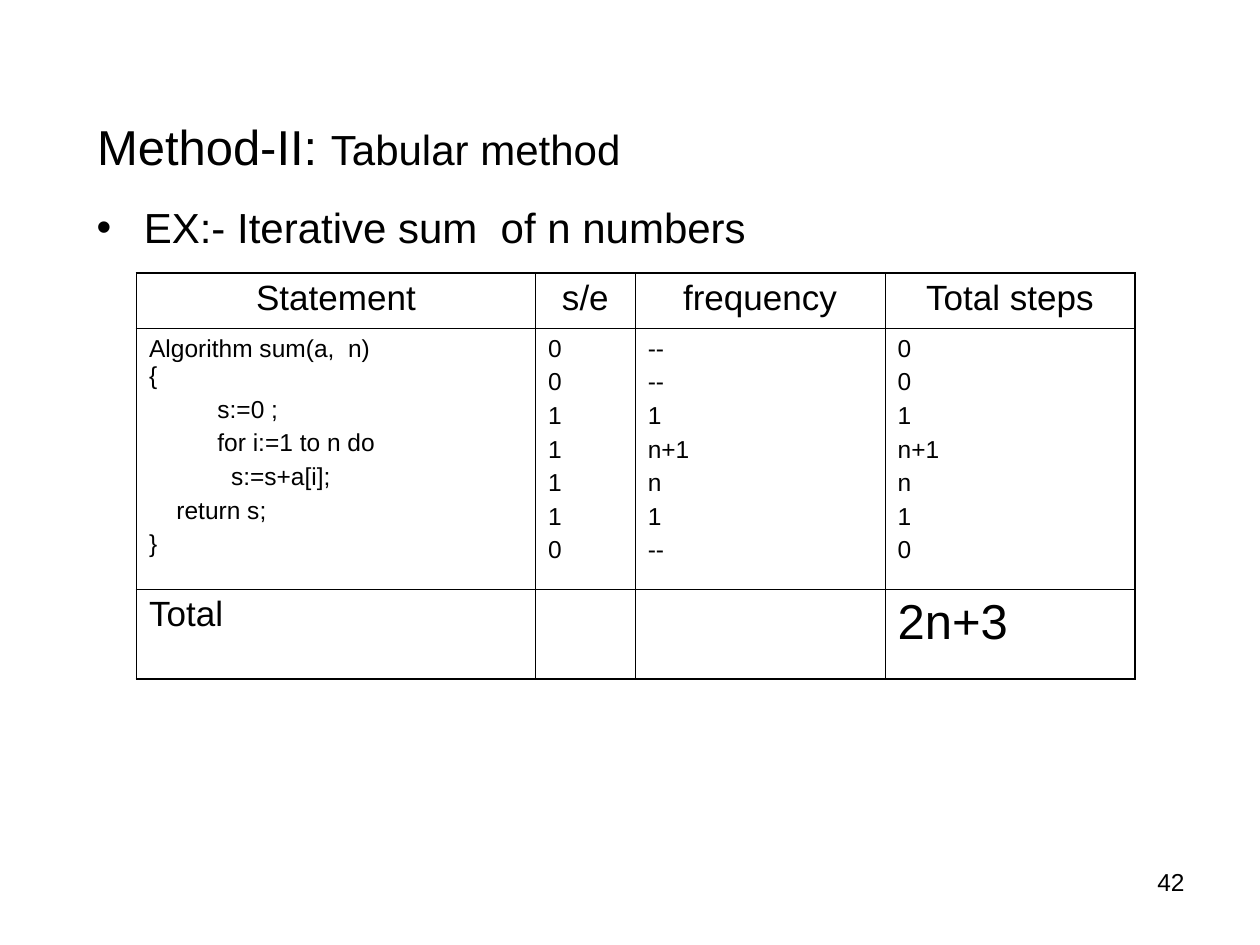
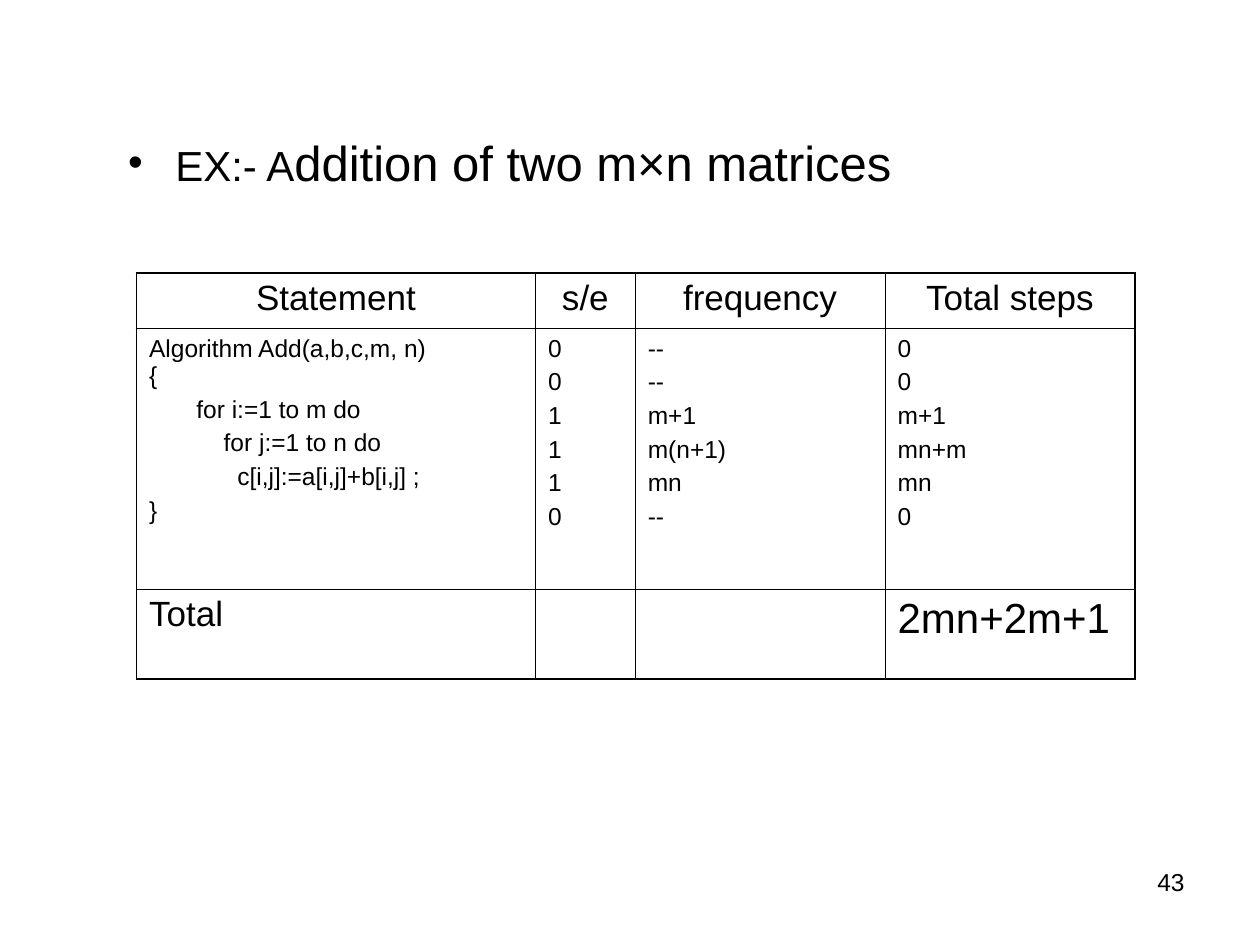
"""Build two slides that count algorithm steps with tables."""
import dataclasses

import lxml.etree
import pptx
import pptx.dml.color
import pptx.enum.text
import pptx.oxml.ns
import pptx.util

PX = 7620
FONT = "Arial"
HEX = {"ink": "000000"}
HEADS = ("Statement", "s/e", "frequency", "Total steps")
COLS = (380, 95, 238, 238)
ROWS = (53, 248, 86)
THICK, THIN = 1.08, 0.45
LEFT = pptx.enum.text.PP_ALIGN.LEFT
MID = pptx.enum.text.PP_ALIGN.CENTER
RIGHT = pptx.enum.text.PP_ALIGN.RIGHT


@dataclasses.dataclass(frozen=True)
class Box:
    left: int
    top: int
    width: int
    height: int


@dataclasses.dataclass(frozen=True)
class Span:
    text: str
    size: int


@dataclasses.dataclass(frozen=True)
class Line:
    text: str
    indent: int = 0


@dataclasses.dataclass(frozen=True)
class Page:
    number: int
    title: tuple[Span, ...]
    point: tuple[Span, ...]
    place: Box
    code: tuple[Line, ...]
    counts: tuple[str, ...]
    total: Span


TITLE = Box(60, 70, 1080, 116)
FOOT = Box(860, 820, 280, 62)

PAGES = (
    Page(
        number=42,
        title=(Span(" ", 44), Span("Method-II: ", 28), Span("Tabular method", 24)),
        point=(Span("EX:- Iterative sum  of n numbers", 24),),
        place=Box(80, 186, 800, 114),
        code=(
            Line("Algorithm sum(a,  n)\v{"),
            Line("s:=0 ;", 65),
            Line("for i:=1 to n do", 65),
            Line("s:=s+a[i];", 78),
            Line("return s;", 26),
            Line("}"),
        ),
        counts=("0 0 1 1 1 1 0", "-- -- 1 n+1 n 1 --", "0 0 1 n+1 n 1 0"),
        total=Span("2n+3", 28),
    ),
    Page(
        number=43,
        title=(),
        point=(Span("EX:- A", 24), Span("ddition of two m×n matrices", 28)),
        place=Box(110, 120, 800, 114),
        code=(
            Line("Algorithm Add(a,b,c,m, n)\v{"),
            Line("for i:=1 to m do", 45),
            Line("for j:=1 to n do", 71),
            Line("c[i,j]:=a[i,j]+b[i,j] ;", 84),
            Line("}"),
        ),
        counts=("0 0 1 1 1 0", "-- -- m+1 m(n+1) mn --", "0 0 m+1 mn+m mn 0"),
        total=Span("2mn+2m+1", 24),
    ),
)


def style(run, size: int) -> None:
    """Give a run the shared font and ink."""
    run.font.name = FONT
    run.font.size = pptx.util.Pt(size)
    run.font.color.rgb = pptx.dml.color.RGBColor.from_string(HEX["ink"])


def place(shape, box: Box) -> None:
    """Move a shape to its box."""
    shape.left, shape.top = box.left * PX, box.top * PX
    shape.width, shape.height = box.width * PX, box.height * PX


def fill_holder(shape, box: Box, spans: tuple[Span, ...], gap: float) -> None:
    """Place a placeholder and write one line of spans in it."""
    place(shape, box)
    shape.text_frame.auto_size = pptx.enum.text.MSO_AUTO_SIZE.NONE
    para = shape.text_frame.paragraphs[0]
    para.alignment = LEFT
    para.space_before = pptx.util.Pt(gap)
    for span in spans:
        run = para.add_run()
        run.text = span.text
        style(run, span.size)


def write(cell, lines: tuple[Line, ...], size: int, align=LEFT) -> None:
    """Write lines in a cell, spaced by a quarter of their size."""
    cell.text_frame.text = "\n".join(line.text for line in lines)
    for para, line in zip(cell.text_frame.paragraphs, lines):
        para.alignment = align
        para.space_before = pptx.util.Pt(size / 4)
        if line.indent:
            para._p.get_or_add_pPr().set("marL", str(line.indent * PX))
        for run in para.runs:
            style(run, size)


def frame(cell, row: int, col: int) -> None:
    """Draw the cell borders, thick on the rim of the table."""
    rims = {
        "a:lnL": col == 0,
        "a:lnR": col == len(COLS) - 1,
        "a:lnT": row == 0,
        "a:lnB": row == len(ROWS) - 1,
    }
    qn = pptx.oxml.ns.qn
    props = cell._tc.get_or_add_tcPr()
    for tag, rim in rims.items():
        width = pptx.util.Pt(THICK if rim else THIN)
        edge = lxml.etree.SubElement(props, qn(tag), w=str(int(width)))
        solid = lxml.etree.SubElement(edge, qn("a:solidFill"))
        lxml.etree.SubElement(solid, qn("a:srgbClr"), val=HEX["ink"])
    cell.fill.background()


def add_steps(slide, page: Page) -> None:
    """Add the table of steps."""
    table = slide.shapes.add_table(
        len(ROWS), len(COLS), 130 * PX, 260 * PX, sum(COLS) * PX, sum(ROWS) * PX
    ).table
    table.first_row = table.horz_banding = False
    for col, width in enumerate(COLS):
        table.columns[col].width = width * PX
        write(table.cell(0, col), (Line(HEADS[col]),), 20, MID)
    for row, height in enumerate(ROWS):
        table.rows[row].height = height * PX
        for col in range(len(COLS)):
            frame(table.cell(row, col), row, col)
    write(table.cell(1, 0), page.code, 14)
    for col, count in enumerate(page.counts, 1):
        write(table.cell(1, col), tuple(map(Line, count.split())), 14)
    write(table.cell(2, 0), (Line("Total"),), 20)
    write(table.cell(2, 3), (Line(page.total.text),), page.total.size)


def add_number(slide, number: int) -> None:
    """Add the page number at the lower right."""
    box = slide.shapes.add_textbox(0, 0, 0, 0)
    place(box, FOOT)
    box.text_frame.word_wrap = True
    box.text_frame.text = str(number)
    para = box.text_frame.paragraphs[0]
    para.alignment = RIGHT
    style(para.runs[0], 14)


def add_page(deck, page: Page) -> None:
    """Add one slide."""
    slide = deck.slides.add_slide(deck.slide_layouts[1])
    title, body = slide.shapes.title, slide.placeholders[1]
    if page.title:
        fill_holder(title, TITLE, page.title, 0)
        title.text_frame.vertical_anchor = pptx.enum.text.MSO_ANCHOR.MIDDLE
    else:
        title.element.getparent().remove(title.element)
    fill_holder(body, page.place, page.point, page.point[-1].size / 4)
    add_steps(slide, page)
    add_number(slide, page.number)


def main() -> None:
    """Build and save the deck."""
    deck = pptx.Presentation()
    deck.slide_width, deck.slide_height = 1200 * PX, 900 * PX
    for page in PAGES:
        add_page(deck, page)
    deck.save("out.pptx")


if __name__ == "__main__":
    main()
